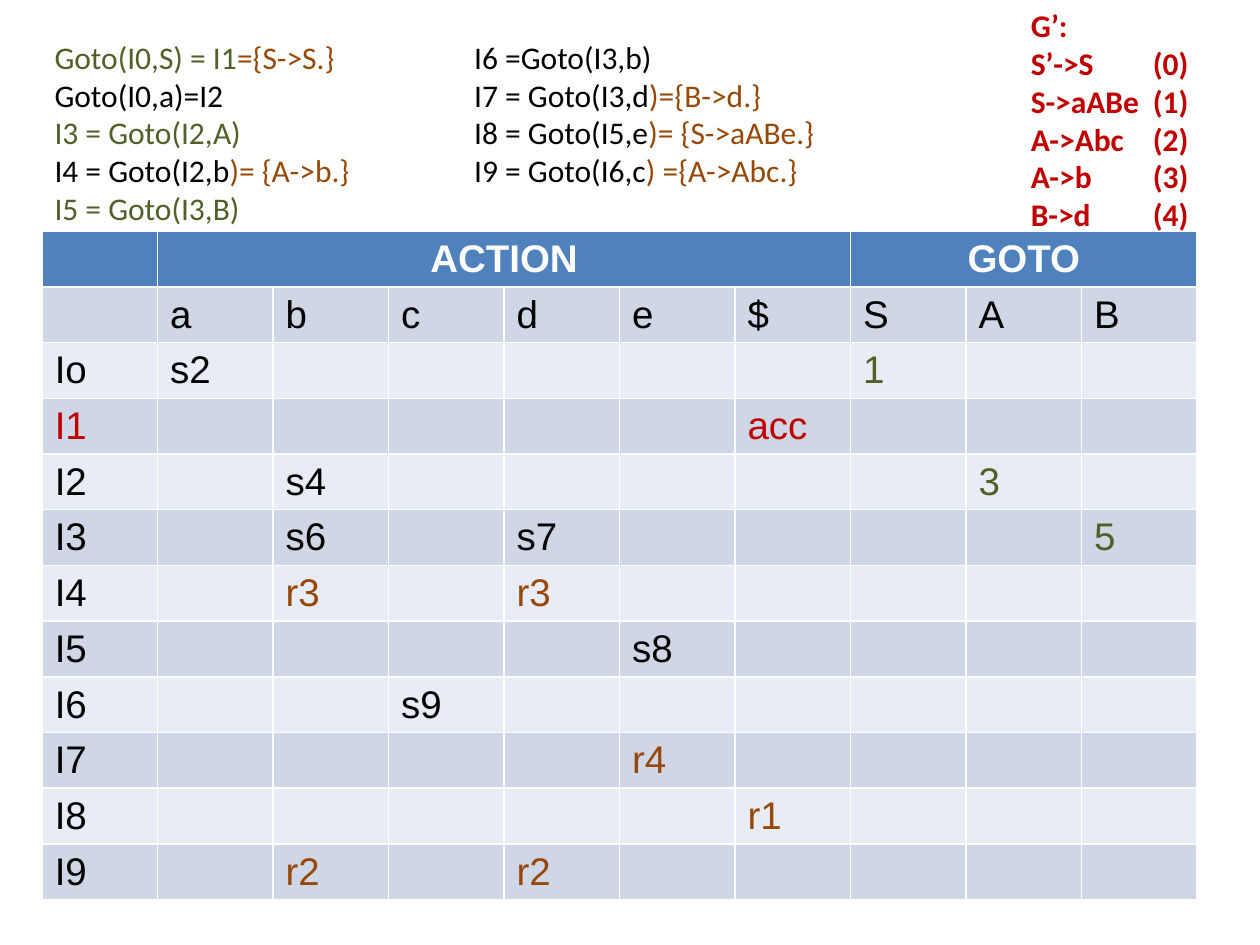
import pptx
import pptx.dml.color
import pptx.enum.text
import pptx.oxml
import pptx.oxml.ns
import pptx.util
from pptx.util import Cm

INK = {
    "black": "000000", "white": "FFFFFF", "green": "4F6128", "brown": "974806",
    "red": "C00000", "head": "4F81BD", "dark": "CFD7E7", "light": "E8ECF4",
}

STEPS = [
    [("Goto(I0,S) = I1", "green"), ("={S->S.}", "brown")],
    [("Goto(I0,a)=I2", "black")],
    [("I3 = Goto(I2,A)", "green")],
    [("I4 = Goto(I2,b", "black"), (")= {A->b.}", "brown")],
    [("I5 = Goto(I3,B)", "green")],
]
MORE = [
    [("I6 =Goto(I3,b)", "black")],
    [("I7 = Goto(I3,d", "black"), (")={B->d.}", "brown")],
    [("I8 = Goto(I5,e", "black"), (")= {S->aABe.}", "brown")],
    [("I9 = Goto(I6,c", "black"), (") ={A->Abc.}", "brown")],
]
RULES = ["G’:", "S’->S\t(0)", "S->aABe\t(1)", "A->Abc\t(2)", "A->b\t(3)", "B->d\t(4)"]

SIGNS = ["a", "b", "c", "d", "e", "$", "S", "A", "B"]
STATES = {
    "Io": {"a": "s2", "S": "1"},
    "I1": {"$": "acc"},
    "I2": {"b": "s4", "A": "3"},
    "I3": {"b": "s6", "d": "s7", "B": "5"},
    "I4": {"b": "r3", "d": "r3"},
    "I5": {"e": "s8"},
    "I6": {"c": "s9"},
    "I7": {"e": "r4"},
    "I8": {"$": "r1"},
    "I9": {"b": "r2", "d": "r2"},
}


def tint(text):
    """Colour name for a table entry, by the kind of move it stands for."""
    if text in ("I1", "acc"):
        return "red"
    if text.isdigit():
        return "green"
    return "brown" if text.startswith("r") else "black"


def shade(name):
    return pptx.dml.color.RGBColor.from_string(INK[name])


class Page:
    def __init__(self, deck):
        self.slide = deck.slides.add_slide(deck.slide_layouts[6])
        self.note = ("Calibri", 18)
        self.grid = ("Arial", 22)

    def style(self, run, kind, ink, bold=False):
        face, size = kind
        run.font.name, run.font.size = face, pptx.util.Pt(size)
        run.font.bold = bold
        run.font.color.rgb = shade(ink)

    def text(self, left, top, width, height, lines, bold=False, tab=None):
        """Text box; each line is a list of (words, colour) parts."""
        box = self.slide.shapes.add_textbox(Cm(left), Cm(top), Cm(width), Cm(height))
        frame = box.text_frame
        frame.word_wrap = True
        for i, parts in enumerate(lines):
            para = frame.add_paragraph() if i else frame.paragraphs[0]
            if tab:
                self.stop(para, tab)
            for words, ink in parts:
                run = para.add_run()
                run.text = words
                self.style(run, self.note, ink, bold)

    def stop(self, para, place):
        """Add a left tab stop to the paragraph."""
        space = pptx.oxml.ns.nsdecls("a")
        tabs = f'<a:tabLst {space}><a:tab pos="{Cm(place)}" algn="l"/></a:tabLst>'
        para._p.get_or_add_pPr().append(pptx.oxml.parse_xml(tabs))

    def cell(self, cell, text, fill, ink, head=False):
        cell.fill.solid()
        cell.fill.fore_color.rgb = shade(fill)
        if not text:
            return
        cell.text_frame.text = text
        para = cell.text_frame.paragraphs[0]
        if head:
            para.alignment = pptx.enum.text.PP_ALIGN.CENTER
        self.style(para.runs[0], self.grid, ink, head)

    def table(self, left, top, width, height, step, heads, rows):
        """Banded table; heads lists (text, number of columns)."""
        wide = sum(span for _, span in heads)
        frame = self.slide.shapes.add_table(
            len(rows) + 1, wide, Cm(left), Cm(top), Cm(width), Cm(height))
        table = frame.table
        for row in table.rows:
            row.height = Cm(step)
        frame.height = Cm(height)
        col = 0
        for text, span in heads:
            for i in range(col, col + span):
                self.cell(table.cell(0, i), text if i == col else "", "head", "white", True)
            if span > 1:
                table.cell(0, col).merge(table.cell(0, col + span - 1))
            col += span
        for r, row in enumerate(rows, 1):
            fill = "dark" if r % 2 else "light"
            for c, text in enumerate(row):
                self.cell(table.cell(r, c), text, fill, tint(text))


def main():
    deck = pptx.Presentation()
    deck.slide_width, deck.slide_height = Cm(25.4), Cm(19.05)
    page = Page(deck)
    rows = [[""] + SIGNS]
    rows += [[name] + [moves.get(s, "") for s in SIGNS] for name, moves in STATES.items()]
    page.table(0.85, 4.66, 23.28, 14.22, 1.04, [("", 1), ("ACTION", 6), ("GOTO", 3)], rows)
    page.text(0.85, 0.64, 10.37, 4.11, STEPS)
    page.text(9.31, 0.64, 8.04, 3.34, MORE)
    page.text(20.53, 0, 4.87, 4.88, [[(rule, "red")] for rule in RULES], True, 2.46)
    deck.save("out.pptx")


if __name__ == "__main__":
    main()
